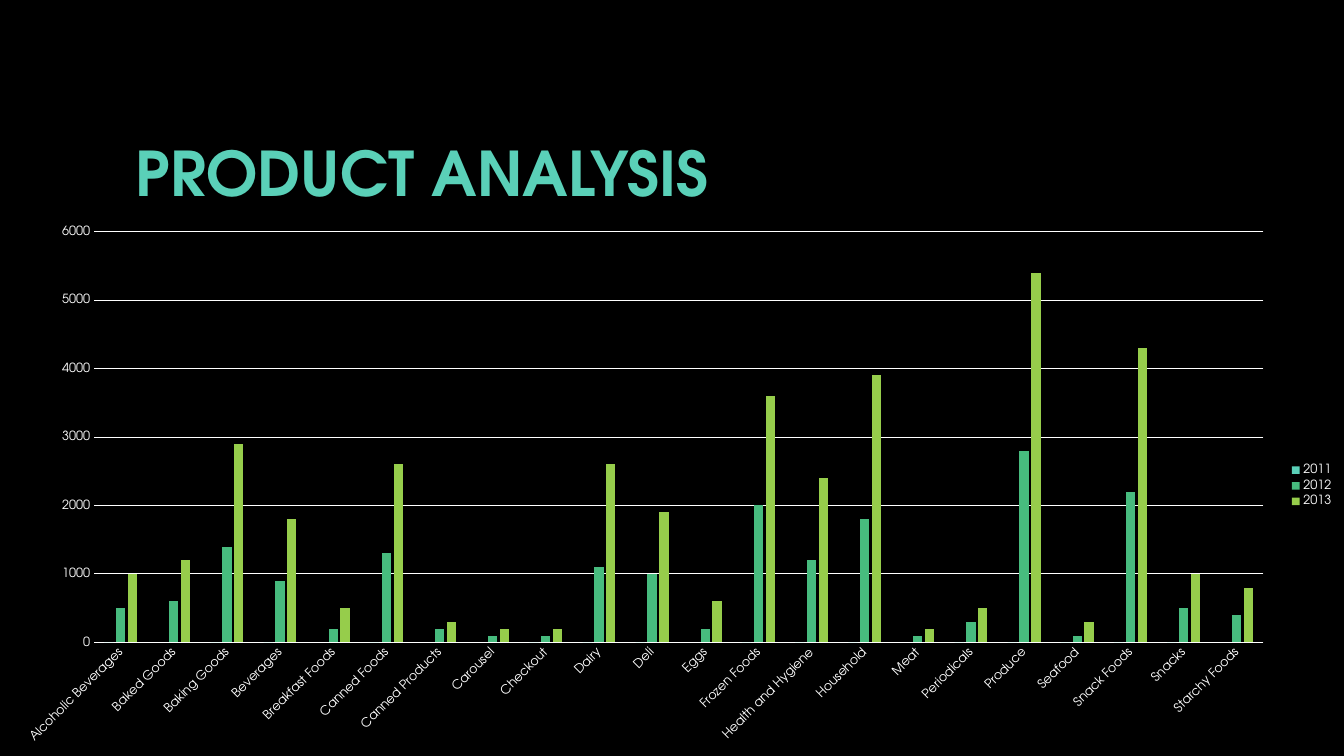
from pptx import Presentation
from pptx.chart.data import CategoryChartData
from pptx.dml.color import RGBColor
from pptx.enum import chart as ch, text
from pptx.oxml import parse_xml
from pptx.oxml.ns import nsdecls, qn
from pptx.util import Pt

TITLE = "PRODUCT ANALYSIS"
YEARS = ("2011", "2012", "2013")
# Product, then one value per year
SALES = [
    ("Alcoholic Beverages", 0, 500, 1000),
    ("Baked Goods", None, 600, 1200),
    ("Baking Goods", 0, 1400, 2900),
    ("Beverages", 0, 900, 1800),
    ("Breakfast Foods", None, 200, 500),
    ("Canned Foods", 0, 1300, 2600),
    ("Canned Products", None, 200, 300),
    ("Carousel", None, 100, 200),
    ("Checkout", 0, 100, 200),
    ("Dairy", 0, 1100, 2600),
    ("Deli", 0, 1000, 1900),
    ("Eggs", None, 200, 600),
    ("Frozen Foods", 0, 2000, 3600),
    ("Health and Hygiene", 0, 1200, 2400),
    ("Household", 0, 1800, 3900),
    ("Meat", None, 100, 200),
    ("Periodicals", 0, 300, 500),
    ("Produce", 0, 2800, 5400),
    ("Seafood", 0, 100, 300),
    ("Snack Foods", 0, 2200, 4300),
    ("Snacks", 0, 500, 1000),
    ("Starchy Foods", None, 400, 800),
]

FONT = "TeX Gyre Adventor"
BLACK = RGBColor(0x00, 0x00, 0x00)
WHITE = RGBColor(0xFF, 0xFF, 0xFF)
TEAL = RGBColor(0x5A, 0xD0, 0xB8)
GREEN = RGBColor(0x47, 0xBB, 0x7E)
LIME = RGBColor(0x96, 0xCD, 0x4B)
YEAR_COLORS = (TEAL, GREEN, LIME)

SLIDE_W, SLIDE_H = 960, 540
CHART_TOP = 154
PLOT = {"x": 0.07, "y": 0.03, "w": 0.87, "h": 0.76}  # shares of the chart area


def style_font(font, size, color=WHITE, bold=False):
    font.name, font.size, font.bold = FONT, Pt(size), bold
    font.color.rgb = color


def style_line(line):
    line.color.rgb = WHITE
    line.width = Pt(0.75)


def place_plot(chart):
    """Fix the inner plot area, axis labels excluded."""
    area = chart._chartSpace.chart.plotArea
    for old in area.findall(qn("c:layout")):
        area.remove(old)
    sizes = "".join(f'<c:{key} val="{val}"/>' for key, val in PLOT.items())
    area.insert(0, parse_xml(
        f'<c:layout {nsdecls("c")}><c:manualLayout><c:layoutTarget val="inner"/>'
        f'<c:xMode val="edge"/><c:yMode val="edge"/>{sizes}'
        '</c:manualLayout></c:layout>'))


def add_title(s):
    box = s.shapes.add_textbox(Pt(90), Pt(48), Pt(780), Pt(150))
    tf = box.text_frame
    tf.word_wrap = True
    tf.vertical_anchor = text.MSO_ANCHOR.MIDDLE
    p = tf.paragraphs[0]
    p.text = TITLE
    style_font(p.font, 44, TEAL, bold=True)


def add_sales_chart(s):
    products, *columns = zip(*SALES)
    data = CategoryChartData()
    data.categories = products
    for year, values in zip(YEARS, columns):
        data.add_series(year, values)
    chart = s.shapes.add_chart(
        ch.XL_CHART_TYPE.COLUMN_CLUSTERED, Pt(0), Pt(CHART_TOP),
        Pt(SLIDE_W), Pt(SLIDE_H - CHART_TOP), data).chart
    chart.has_title = False
    style_font(chart.font, 10)

    plot = chart.plots[0]
    plot.gap_width, plot.overlap = 219, -27
    plot.vary_by_categories = False
    for series, color in zip(plot.series, YEAR_COLORS):
        series.format.fill.solid()
        series.format.fill.fore_color.rgb = color

    products_axis, value_axis = chart.category_axis, chart.value_axis
    for axis in (products_axis, value_axis):
        axis.major_tick_mark = axis.minor_tick_mark = ch.XL_TICK_MARK.NONE
        style_font(axis.tick_labels.font, 9)
    style_line(products_axis.format.line)
    products_axis._element.find(f'{qn("c:txPr")}/{qn("a:bodyPr")}').set("rot", "-2700000")
    value_axis.format.line.fill.background()
    value_axis.minimum_scale, value_axis.maximum_scale = 0, 6000
    value_axis.major_unit = 1000
    style_line(value_axis.major_gridlines.format.line)

    chart.has_legend = True
    chart.legend.position = ch.XL_LEGEND_POSITION.RIGHT
    chart.legend.include_in_layout = False
    style_font(chart.legend.font, 9)
    place_plot(chart)


def main():
    prs = Presentation()
    prs.slide_width, prs.slide_height = Pt(SLIDE_W), Pt(SLIDE_H)
    s = prs.slides.add_slide(prs.slide_layouts[6])
    s.background.fill.solid()
    s.background.fill.fore_color.rgb = BLACK
    add_title(s)
    add_sales_chart(s)
    prs.save("out.pptx")


if __name__ == "__main__":
    main()
